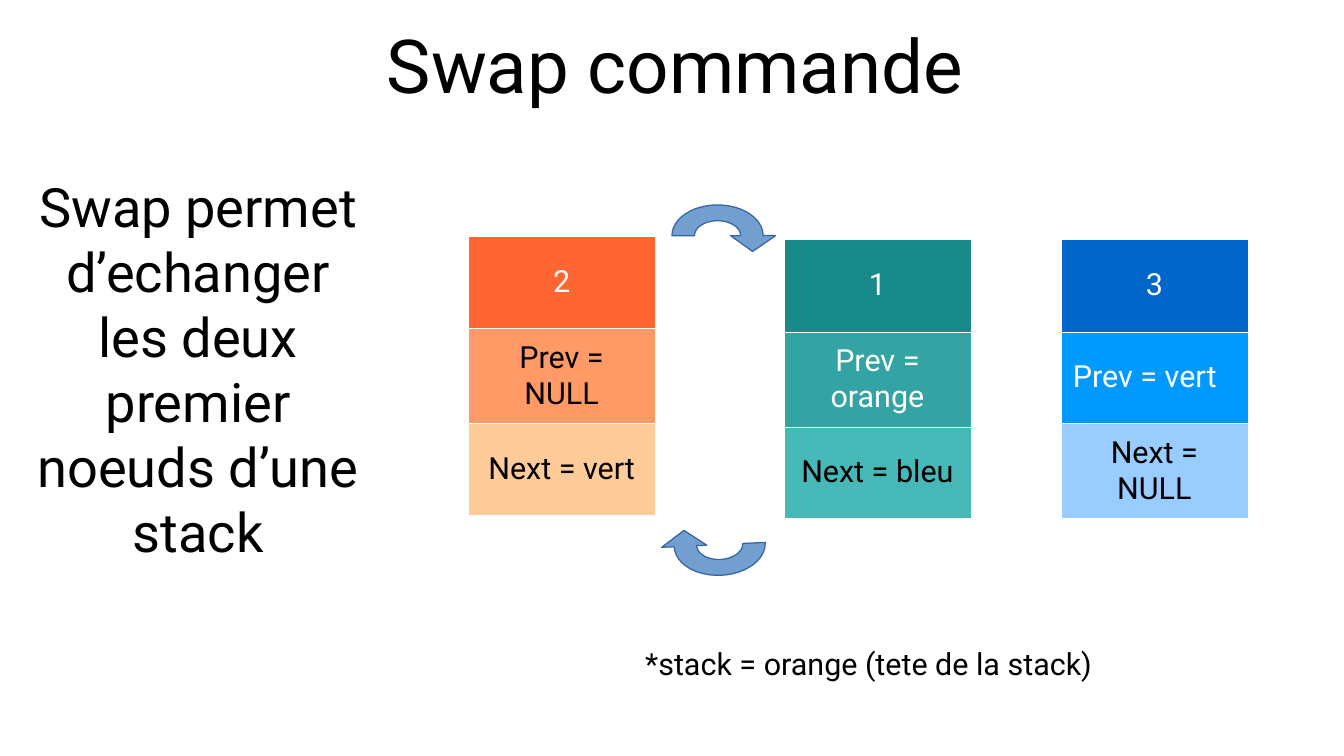
from math import cos, pi, sin

from lxml.etree import SubElement
from pptx import Presentation
from pptx.dml.color import RGBColor
from pptx.enum.text import MSO_ANCHOR as Anchor, PP_ALIGN as Align
from pptx.oxml.ns import qn
from pptx.util import Cm, Pt


def color(value):
    """Turn a hex string into a colour."""
    return RGBColor.from_string(value)


def apply_format(target, values):
    """Set each attribute named in a dict of format values."""
    for name, value in values.items():
        setattr(target, name, value)


class SlideBuilder:
    """Hold the style and the current slide."""

    font_name = "Roboto"
    black, white = "000000", "FFFFFF"
    arrow_fill, arrow_line = "729FCF", "3465A4"
    border_width = 720

    def __init__(self, slide):
        """Keep the slide to draw on."""
        self.slide = slide

    def label(self, paragraph, text, size, text_color, align=Align.CENTER):
        """Fill a paragraph with one styled run."""
        paragraph.alignment = align
        run = paragraph.add_run()
        run.text = text
        apply_format(run.font, {"name": self.font_name, "size": Pt(size)})
        run.font.color.rgb = color(text_color)

    def text(self, text, left, top, width, height, size, margins=(0, 0)):
        """Add a wrapped, vertically centred text box."""
        box = self.slide.shapes.add_textbox(Cm(left), Cm(top), Cm(width), Cm(height))
        side, edge = (Cm(margin) for margin in margins)
        apply_format(box.text_frame, {
            "word_wrap": True, "vertical_anchor": Anchor.MIDDLE,
            "margin_left": side, "margin_right": side,
            "margin_top": edge, "margin_bottom": edge,
        })
        self.label(box.text_frame.paragraphs[0], text, size, self.black)

    def swap_arrow(self, left, top, rotation=0):
        """Add an arched arrow that points down on its right."""
        center_x, base = 0.95, 0.64
        angles = [pi * step / 24 for step in range(25)]
        inner = [(center_x + 0.48 * cos(a), base - 0.31 * sin(a)) for a in angles]
        outer = [(center_x - 0.95 * cos(a), base - 0.64 * sin(a)) for a in angles]
        head = [(2.16, base), (1.68, 0.97), (1.22, base)]
        points = [(Cm(x), Cm(y)) for x, y in inner + outer + head]
        builder = self.slide.shapes.build_freeform(*points[0])
        builder.add_line_segments(points[1:], close=True)
        arrow = builder.convert_to_shape(Cm(left), Cm(top))
        arrow.rotation = rotation
        arrow.shadow.inherit = False
        arrow.fill.solid()
        arrow.fill.fore_color.rgb = color(self.arrow_fill)
        arrow.line.color.rgb = color(self.arrow_line)
        arrow.line.width = 0

    def borders(self, cell):
        """Draw thin white lines around a cell."""
        properties = cell._tc.get_or_add_tcPr()
        for side in ("lnL", "lnR", "lnT", "lnB"):
            line = SubElement(properties, qn(f"a:{side}"), w=str(self.border_width))
            fill = SubElement(line, qn("a:solidFill"))
            SubElement(fill, qn("a:srgbClr"), val=self.white)

    def node(self, left, top, heights, rows):
        """Add a one-column table that shows a list node."""
        frame = self.slide.shapes.add_table(
            len(rows), 1, Cm(left), Cm(top), Cm(3.9), Cm(sum(heights)))
        table = frame.table
        apply_format(table, {"first_row": False, "horz_banding": False})
        for index, (text, fill, text_color, align) in enumerate(rows):
            table.rows[index].height = Cm(heights[index])
            cell = table.cell(index, 0)
            self.borders(cell)
            cell.vertical_anchor = Anchor.MIDDLE
            cell.fill.solid()
            cell.fill.fore_color.rgb = color(fill)
            self.label(cell.text_frame.paragraphs[0], text, 18, text_color, align)


def main():
    """Build and save the slide."""
    presentation = Presentation()
    apply_format(presentation, {"slide_width": Cm(28), "slide_height": Cm(15.75)})
    builder = SlideBuilder(presentation.slides.add_slide(presentation.slide_layouts[6]))
    black, white, center = builder.black, builder.white, Align.CENTER

    builder.text("Swap commande", 1.47, 0, 25.2, 2.64, 44)
    builder.text("Swap permet d’echanger les deux premier noeuds d’une stack",
                 0.64, 1.98, 6.98, 11.4, 32)
    builder.swap_arrow(14, 4.27)
    builder.swap_arrow(13.79, 11.02, 177.3)

    nodes = [
        (22.1, 4.98, (1.93, 1.91, 1.98), [
            ("3", "0066CC", white, center),
            ("Prev = vert", "0099FF", white, Align.LEFT),
            ("Next = NULL", "99CCFF", black, center)]),
        (16.33, 4.98, (1.93, 1.98, 1.91), [
            ("1", "198A8A", white, center),
            ("Prev = orange", "33A3A3", white, center),
            ("Next = bleu", "47B8B8", black, center)]),
        (9.75, 4.91, (1.93, 1.98, 1.91), [
            ("2", "FF6633", white, center),
            ("Prev = NULL", "FF9966", black, center),
            ("Next = vert", "FFCC99", black, center)]),
    ]
    for node in nodes:
        builder.node(*node)

    builder.text("*stack = orange (tete de la stack)",
                 11.43, 13.26, 13.34, 1.12, 18, (0.25, 0.13))
    presentation.save("out.pptx")


if __name__ == "__main__":
    main()
